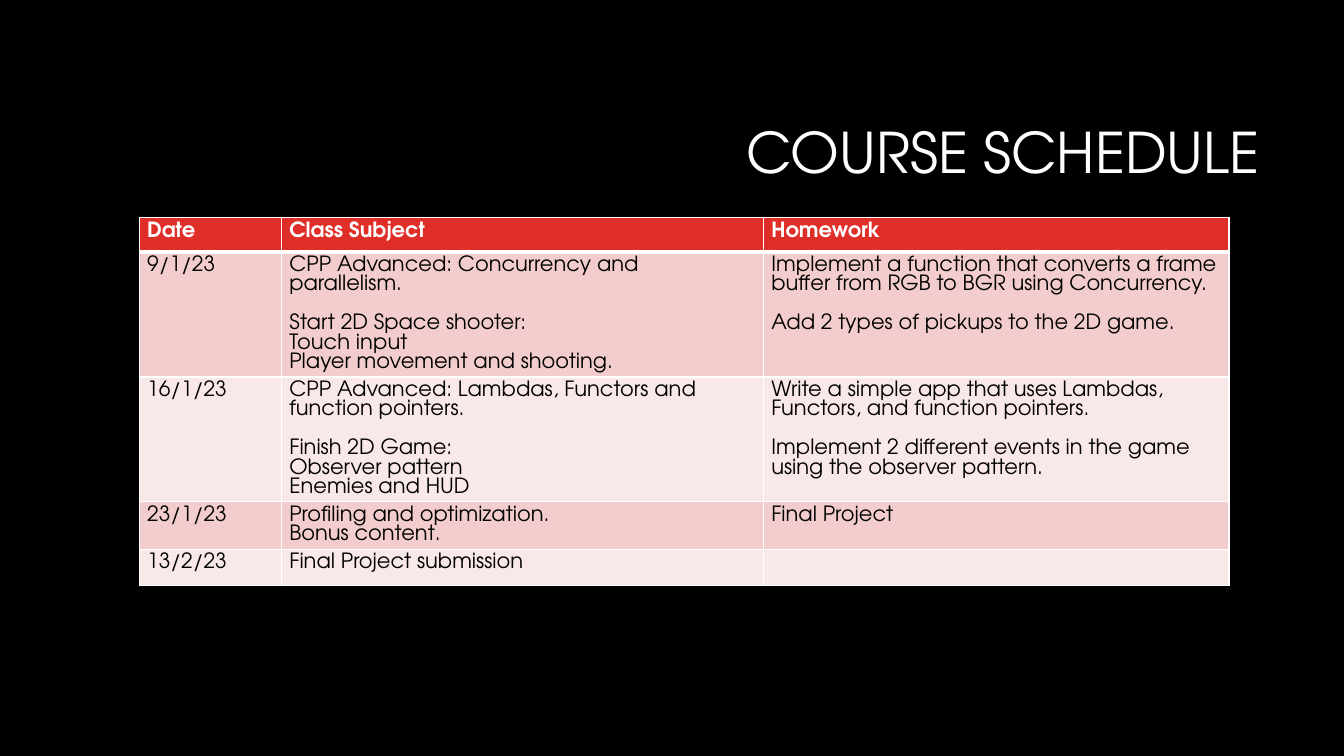
from lxml.etree import SubElement
from pptx import Presentation
from pptx.dml.color import RGBColor
from pptx.enum.text import MSO_ANCHOR, MSO_AUTO_SIZE, PP_ALIGN
from pptx.oxml.ns import qn
from pptx.util import Inches, Pt

FONT = "TeX Gyre Adventor"
WHITE, BLACK, RED = "FFFFFF", "000000", "DF2E28"
BANDS = ["F3CDCD", "F9E8E8"]
TITLE = "COURSE SCHEDULE"
COLUMN_WIDTHS = [1.41, 4.78, 4.62]
LINE_HEIGHT = 0.193
MIN_ROW_HEIGHT = 0.34
MARGIN_X, MARGIN_Y = 0.08, 0.04

# Each cell holds blocks of lines; a one-line gap separates blocks.
HEADINGS = [[["Date"]], [["Class Subject"]], [["Homework"]]]
SESSIONS = [
    (1.24, [
        [["9/1/23"]],
        [["CPP Advanced: Concurrency and parallelism."],
         ["Start 2D Space shooter:", "Touch input", "Player movement and shooting."]],
        [["Implement a function that converts a frame buffer from RGB to BGR using Concurrency."],
         ["Add 2 types of pickups to the 2D game."]],
    ]),
    (1.24, [
        [["16/1/23"]],
        [["CPP Advanced: Lambdas, Functors and function pointers."],
         ["Finish 2D Game:", "Observer pattern", "Enemies and HUD"]],
        [["Write a simple app that uses Lambdas, Functors, and function pointers."],
         ["Implement 2 different events in the game using the observer pattern."]],
    ]),
    (0.47, [
        [["23/1/23"]],
        [["Profiling and optimization.", "Bonus content."]],
        [["Final Project"]],
    ]),
    (MIN_ROW_HEIGHT, [[["13/2/23"]], [["Final Project submission"]], [[""]]]),
]


def color(value):
    return RGBColor.from_string(value)


def add_text(paragraph, text, size, tint, bold=False):
    run = paragraph.add_run()
    run.text = text
    run.font.name = FONT
    run.font.size = Pt(size)
    run.font.bold = bold
    run.font.color.rgb = color(tint)


def add_borders(cell, top, bottom):
    properties = cell._tc.get_or_add_tcPr()
    for side, width in (("L", 1), ("R", 1), ("T", top), ("B", bottom)):
        line = SubElement(properties, qn(f"a:ln{side}"), w=str(Pt(width)))
        SubElement(SubElement(line, qn("a:solidFill")), qn("a:srgbClr"), val=WHITE)


def fill_cell(cell, blocks, background, tint, bold):
    cell.margin_left = cell.margin_right = Inches(MARGIN_X)
    cell.margin_top = cell.margin_bottom = Inches(MARGIN_Y)
    cell.fill.solid()
    cell.fill.fore_color.rgb = color(background)
    paragraph = cell.text_frame.paragraphs[0]
    for block_index, block in enumerate(blocks):
        for line_index, text in enumerate(block):
            if block_index or line_index:
                paragraph = cell.text_frame.add_paragraph()
            if block_index and not line_index:
                paragraph.space_before = Inches(LINE_HEIGHT)
            add_text(paragraph, text, 15, tint, bold)


def main():
    deck = Presentation()
    deck.slide_width, deck.slide_height = Inches(13.33), Inches(7.5)
    slide = deck.slides.add_slide(deck.slide_layouts[5])
    slide.background.fill.solid()
    slide.background.fill.fore_color.rgb = color(BLACK)

    title = slide.shapes.title
    title.left, title.top = Inches(3.17), Inches(0.84)
    title.width, title.height = Inches(9.42), Inches(1.41)
    title.text_frame.auto_size = MSO_AUTO_SIZE.NONE
    title.text_frame.vertical_anchor = MSO_ANCHOR.MIDDLE
    heading = title.text_frame.paragraphs[0]
    heading.alignment = PP_ALIGN.RIGHT
    heading.line_spacing = 0.9
    add_text(heading, TITLE, 40, WHITE)

    rows = [(MIN_ROW_HEIGHT, HEADINGS)] + SESSIONS
    schedule = slide.shapes.add_table(
        len(rows), len(COLUMN_WIDTHS), Inches(1.38), Inches(2.16),
        Inches(sum(COLUMN_WIDTHS)), Inches(sum(height for height, _ in rows)),
    ).table
    for column, width in zip(schedule.columns, COLUMN_WIDTHS):
        column.width = Inches(width)
    for row_index, (height, cells) in enumerate(rows):
        schedule.rows[row_index].height = Inches(height)
        is_header = row_index == 0
        background = RED if is_header else BANDS[(row_index - 1) % 2]
        for column_index, blocks in enumerate(cells):
            cell = schedule.cell(row_index, column_index)
            add_borders(cell, 3 if row_index == 1 else 1, 3 if is_header else 1)
            fill_cell(cell, blocks, background, WHITE if is_header else BLACK, is_header)

    deck.save("out.pptx")


if __name__ == "__main__":
    main()
